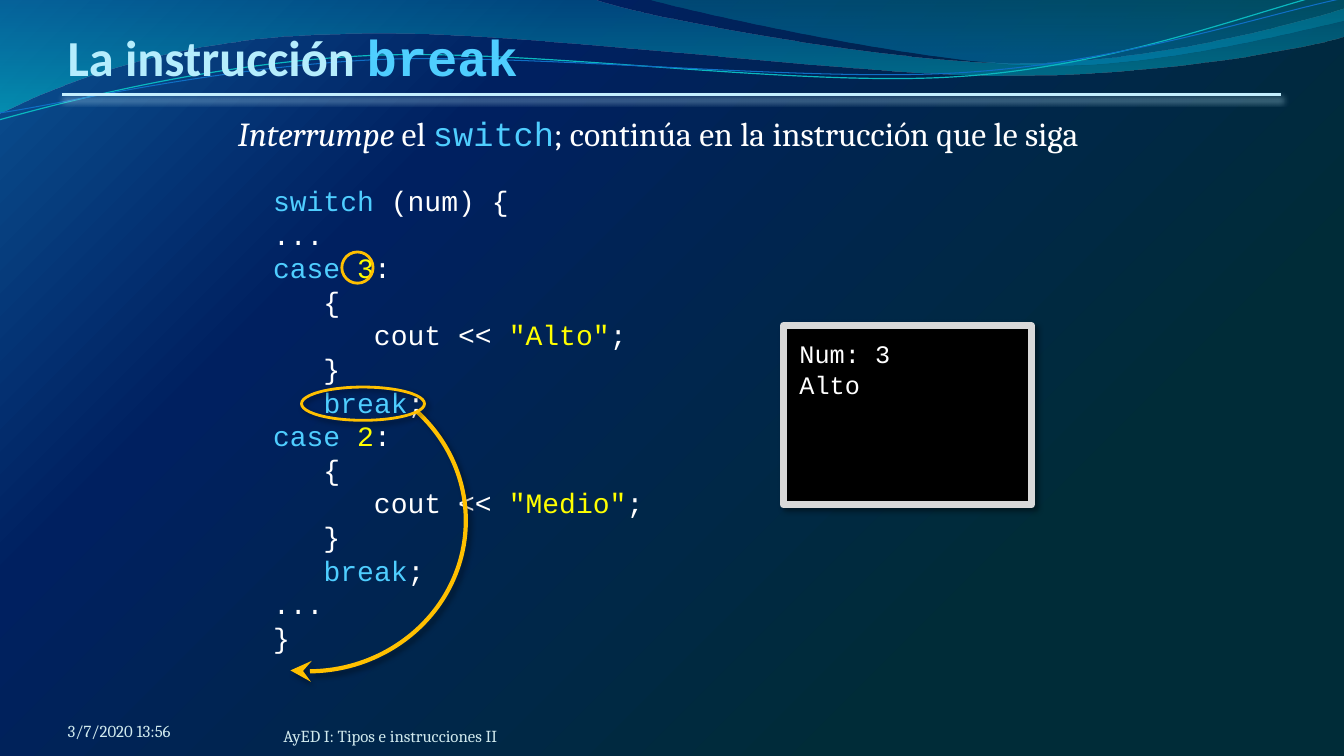
from dataclasses import dataclass
from math import cos, radians, sin
from typing import NamedTuple, Optional

from lxml import etree
from pptx import Presentation
from pptx.dml.color import RGBColor
from pptx.enum.shapes import MSO_CONNECTOR, MSO_SHAPE
from pptx.enum.text import MSO_ANCHOR
from pptx.oxml.ns import qn
from pptx.util import Pt

PX = 9144
RECTANGLE, ELLIPSE, ARC = MSO_SHAPE.RECTANGLE, MSO_SHAPE.OVAL, MSO_SHAPE.ARC
STRAIGHT = MSO_CONNECTOR.STRAIGHT
TOP, BOTTOM = MSO_ANCHOR.TOP, MSO_ANCHOR.BOTTOM


@dataclass(frozen=True)
class Theme:
    heading: str = "Calibri"
    body: str = "Cambria"
    mono: str = "Courier New"
    white: str = "FFFFFF"
    black: str = "000000"
    keyword: str = "4FCEFF"
    literal: str = "FFFF00"
    title: str = "B5EDFD"
    title_edge: str = "0070C0"
    footer: str = "D1EAEE"
    rule: str = "C4EFFF"
    frame: str = "D9D9D9"
    mark: str = "FFC000"
    title_size: int = 36
    lead_size: int = 24
    code_size: int = 20
    console_size: int = 18
    footer_size: int = 12
    mono_spacing: float = 1.2


THEME = Theme()


class Stop(NamedTuple):
    position: int
    color: str
    opacity: int = 100


class Span(NamedTuple):
    text: str
    color: str = THEME.white
    font: str = THEME.mono
    italic: bool = False


class Box(NamedTuple):
    left: int
    top: int
    width: int
    height: int


class Shadow(NamedTuple):
    color: str
    opacity: int
    blur: float
    distance: float
    angle: int


class Wave(NamedTuple):
    start: tuple
    segments: list
    stops: tuple = ()
    line: str = ""
    weight: float = 0
    tilt: float = 0
    center: tuple = (0, 0)


MARK_SHADOW = Shadow(THEME.black, 40, 4, 3, 45)
RULE_SHADOW = Shadow(THEME.rule, 48, 4.5, 3, 90)

BACKGROUND = (Stop(0, "0B5394"), Stop(28, "002060"), Stop(76, "002C38"))
WAVES = (
    Wave((-1, -1), [
        (587, -1), (634, 17, 885, 63, 1011, 63), (1138, 63, 1278, 26, 1333, 9), (1335, 36),
        (1311, 44, 1160, 76, 994, 75), (829, 75, 509, 28, 343, 34),
        (172, 36, 61, 83, -1, 113), (-1, -1)],
        stops=(Stop(0, "0074A1", 45), Stop(100, "00C6CF", 55))),
    Wave((639, -1), [
        (679, 11, 909, 62, 1025, 65), (1141, 69, 1282, 32, 1333, 21), (1333, 0), (639, -1)],
        stops=(Stop(0, "00A1A9", 30), Stop(80, "008BBF", 45))),
    Wave((-1, 119), [
        (64, 101, 211, 62, 369, 55), (527, 48, 790, 87, 950, 76),
        (1110, 66, 1252, 8, 1331, -10)],
        line="0AB8BF", weight=0.85, tilt=-2.7, center=(665, 57)),
    Wave((0, 112), [
        (63, 103, 218, 66, 378, 59), (537, 53, 796, 82, 955, 72),
        (1115, 62, 1255, 14, 1334, -2)],
        line="0F6FC6", weight=0.75, tilt=-2.7, center=(667, 59)),
)


def keyword(text: str) -> Span:
    return Span(text, THEME.keyword)


def literal(text: str) -> Span:
    return Span(text, THEME.literal)


def case_lines(value: str, message: str) -> list:
    return [
        [keyword("case "), literal(value), Span(":")],
        [Span("   {")],
        [Span("      cout << "), literal(f'"{message}"'), Span(";")],
        [Span("   }")],
        [Span("   "), keyword("break"), Span(";")],
    ]


CODE = [[keyword("switch"), Span(" (num) {")], [Span("...")], *case_lines("3", "Alto"),
        *case_lines("2", "Medio"), [Span("...")], [Span("}")]]


def rgb(color: str) -> RGBColor:
    return RGBColor.from_string(color)


def element(parent, tag: str, **attributes):
    return etree.SubElement(parent, qn(tag), {k: str(v) for k, v in attributes.items()})


def color_element(parent, color: str, opacity: int = 100) -> None:
    node = element(parent, "a:srgbClr", val=color)
    if opacity < 100:
        element(node, "a:alpha", val=opacity * 1000)


def set_gradient(fill, holder, stops: tuple, radial: bool = False) -> None:
    fill.gradient()
    gradient = holder.find(".//" + qn("a:gradFill"))
    for child in list(gradient):
        gradient.remove(child)
    stop_list = element(gradient, "a:gsLst")
    for stop in stops:
        color_element(element(stop_list, "a:gs", pos=stop.position * 1000), stop.color, stop.opacity)
    if radial:
        element(element(gradient, "a:path", path="circle"), "a:fillToRect", r=100000, b=100000)
    else:
        element(gradient, "a:lin", ang=5400000, scaled=0)


def set_shadow(properties, shadow: Shadow) -> None:
    for old in properties.findall(qn("a:effectLst")):
        properties.remove(old)
    outer = element(element(properties, "a:effectLst"), "a:outerShdw",
                    blurRad=Pt(shadow.blur), dist=Pt(shadow.distance),
                    dir=shadow.angle * 60000, algn="ctr", rotWithShape=0)
    color_element(outer, shadow.color, shadow.opacity)


def untilted(wave: Wave, x: int, y: int) -> tuple:
    turn, (cx, cy) = radians(-wave.tilt), wave.center
    dx, dy = x - cx, y - cy
    return (round((cx + dx * cos(turn) - dy * sin(turn)) * PX),
            round((cy + dx * sin(turn) + dy * cos(turn)) * PX))


def add_wave(slide, wave: Wave) -> None:
    points = [untilted(wave, *pair) for segment in wave.segments
              for pair in zip(segment[::2], segment[1::2])]
    builder = slide.shapes.build_freeform(*untilted(wave, *wave.start))
    builder.add_line_segments(points, close=bool(wave.stops))
    outline = builder.convert_to_shape()
    steps = iter(outline._element.findall(".//" + qn("a:lnTo")))
    for segment in wave.segments:
        if len(segment) == 2:
            next(steps)
            continue
        handles = [next(steps) for _ in range(3)]
        curve = etree.Element(qn("a:cubicBezTo"))
        handles[0].addprevious(curve)
        for handle in handles:
            curve.append(handle[0])
            handle.getparent().remove(handle)
    outline.rotation = wave.tilt
    outline.shadow.inherit = False
    if wave.stops:
        set_gradient(outline.fill, outline._element.spPr, wave.stops)
        outline.line.fill.background()
    else:
        outline.fill.background()
        outline.line.color.rgb = rgb(wave.line)
        outline.line.width = Pt(wave.weight)


def add_outline(slide, kind, box: Box, line: str, weight: float, fill: str = "",
                shadow: Optional[Shadow] = None):
    shape = slide.shapes.add_shape(kind, *(v * PX for v in box))
    shape.shadow.inherit = False
    if fill:
        shape.fill.solid()
        shape.fill.fore_color.rgb = rgb(fill)
    else:
        shape.fill.background()
    shape.line.color.rgb = rgb(line)
    shape.line.width = Pt(weight)
    if shadow:
        set_shadow(shape._element.spPr, shadow)
    return shape


def add_text(slide, box: Box, lines: list, *, size: int, anchor=TOP, insets=(10, 5, 10, 5),
             bold: bool = False, edge: str = "", spacing: float = 0) -> None:
    frame = slide.shapes.add_textbox(*(v * PX for v in box)).text_frame
    frame.word_wrap = True
    frame.vertical_anchor = anchor
    frame.margin_left, frame.margin_top, frame.margin_right, frame.margin_bottom = (
        v * PX for v in insets)
    for index, spans in enumerate(lines):
        paragraph = frame.add_paragraph() if index else frame.paragraphs[0]
        if spacing:
            paragraph.line_spacing = Pt(size * spacing)
        for span in spans:
            run = paragraph.add_run()
            run.text = span.text
            run.font.name, run.font.size = span.font, Pt(size)
            run.font.bold, run.font.italic = bold, span.italic
            run.font.color.rgb = rgb(span.color)
            if edge:
                properties = run._r.get_or_add_rPr()
                stroke = element(properties, "a:ln", w=Pt(0.75))
                color_element(element(stroke, "a:solidFill"), edge)
                properties.insert(0, stroke)


def main() -> None:
    deck = Presentation()
    deck.slide_width, deck.slide_height = 1333 * PX, 750 * PX
    slide = deck.slides.add_slide(deck.slide_layouts[6])
    set_gradient(slide.background.fill, slide._element, BACKGROUND, radial=True)
    for wave in WAVES:
        add_wave(slide, wave)

    title_rule = slide.shapes.add_connector(STRAIGHT, 62 * PX, 94 * PX, 1271 * PX, 94 * PX)
    title_rule.line.color.rgb = rgb(THEME.rule)
    title_rule.line.width = Pt(2.25)
    set_shadow(title_rule._element.spPr, RULE_SHADOW)

    add_text(slide, Box(217, 107, 900, 559), [[
        Span("Interrumpe", font=THEME.body, italic=True), Span(" el ", font=THEME.body),
        keyword("switch"),
        Span("; continúa en la instrucción que le siga", font=THEME.body)]],
        size=THEME.lead_size, insets=(19, 5, 10, 5))
    add_outline(slide, RECTANGLE, Box(777, 323, 246, 178), THEME.frame, 5, THEME.black, MARK_SHADOW)
    add_text(slide, Box(783, 328, 168, 104), [[Span("Num: 3")], [Span("Alto")]],
             size=THEME.console_size, insets=(10, 8, 10, 8), spacing=THEME.mono_spacing)
    add_text(slide, Box(67, 31, 1200, 55),
             [[Span("La instrucción ", THEME.title, THEME.heading), keyword("break")]],
             size=THEME.title_size, anchor=BOTTOM, insets=(0, 5, 0, 0), bold=True,
             edge=THEME.title_edge)
    add_text(slide, Box(261, 177, 610, 481), CODE, size=THEME.code_size, spacing=THEME.mono_spacing)

    jump = add_outline(slide, ARC, Box(156, 360, 299, 313), THEME.mark, 3, shadow=MARK_SHADOW)
    jump.rotation = 90
    jump.adjustments[0], jump.adjustments[1] = 134.855, 4.034
    element(jump.line._get_or_add_ln(), "a:tailEnd", type="stealth", w="lg", len="lg")
    add_outline(slide, ELLIPSE, Box(299, 384, 122, 33), THEME.mark, 2, shadow=MARK_SHADOW)
    add_outline(slide, ELLIPSE, Box(339, 250, 31, 31), THEME.mark, 2)

    for box, words in ((Box(281, 700, 813, 40), "AyED I: Tipos e instrucciones II"),
                       (Box(67, 695, 311, 40), "3/7/2020 13:56")):
        add_text(slide, box, [[Span(words, THEME.footer, THEME.body)]],
                 size=THEME.footer_size, anchor=BOTTOM, insets=(0, 0, 0, 0))
    deck.save("out.pptx")


if __name__ == "__main__":
    main()
